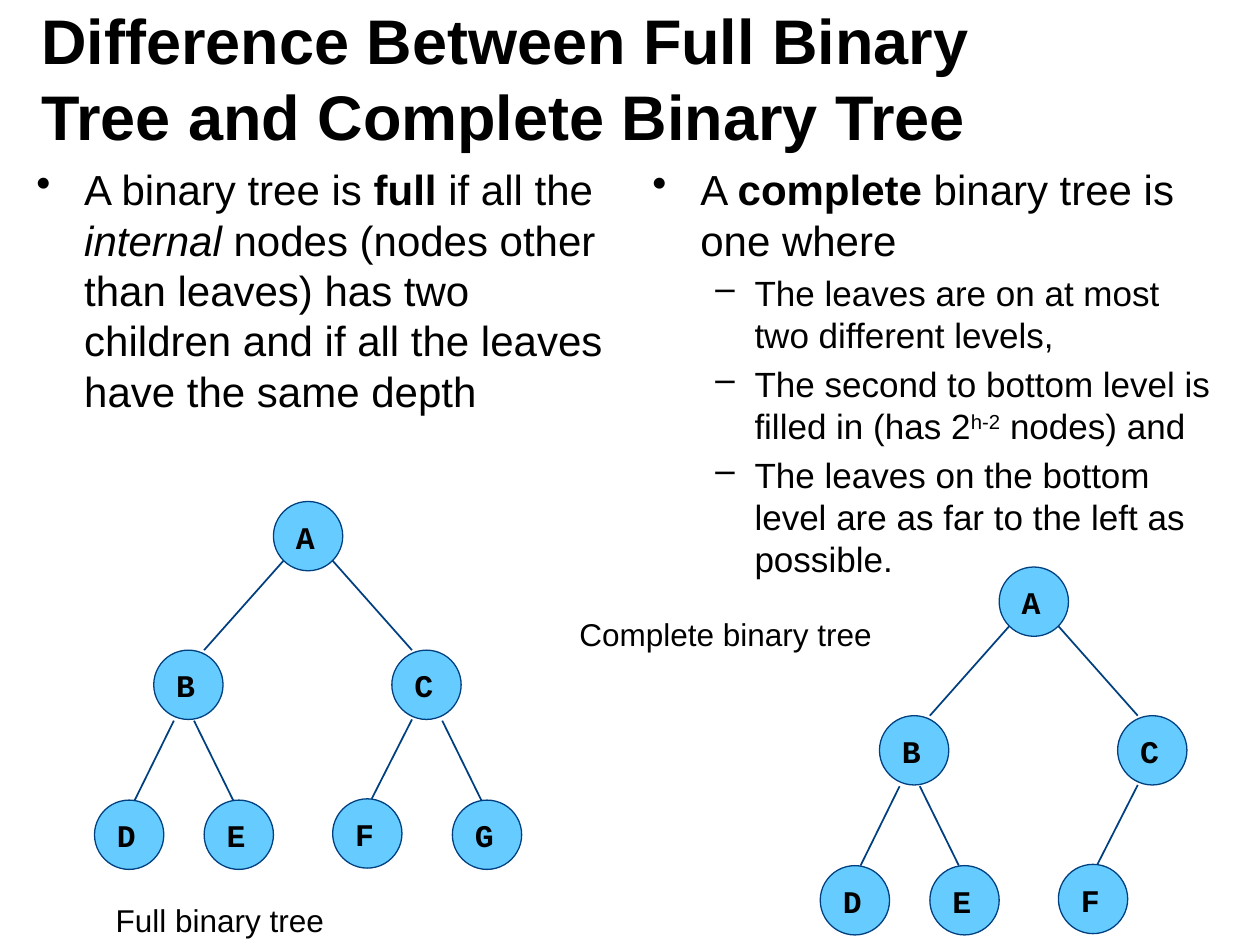
from lxml import etree
from pptx import Presentation
from pptx.dml.color import RGBColor
from pptx.enum.shapes import MSO_CONNECTOR, MSO_SHAPE
from pptx.enum.text import MSO_ANCHOR
from pptx.oxml.ns import qn
from pptx.util import Inches, Pt

OVAL = MSO_SHAPE.OVAL
STRAIGHT = MSO_CONNECTOR.STRAIGHT
TOP, MIDDLE = MSO_ANCHOR.TOP, MSO_ANCHOR.MIDDLE
BLACK = RGBColor(0x00, 0x00, 0x00)
SKY = RGBColor(0x66, 0xCC, 0xFF)
NAVY = RGBColor(0x00, 0x40, 0x80)

TITLE = "Difference Between Full Binary Tree and Complete Binary Tree"
FULL_TEXT = [
    (0, [("A binary tree is ", ""), ("full", "bold"), (" if all the ", ""),
         ("internal", "italic"),
         (" nodes (nodes other than leaves) has two children and if all "
          "the leaves have the same depth", "")]),
]
COMPLETE_TEXT = [
    (0, [("A ", ""), ("complete", "bold"), (" binary tree is one where", "")]),
    (1, [("The leaves are on at most two different levels,", "")]),
    (1, [("The second to bottom level is filled in (has 2", ""),
         ("h-2", "super"), (" nodes) and", "")]),
    (1, [("The leaves on the bottom level are as far to the left as "
          "possible.", "")]),
]
LEVELS = [
    {"bullet": "•", "size": 24, "margin": 0.38, "indent": -0.38},
    {"bullet": "–", "size": 20, "margin": 0.81, "indent": -0.31},
]

NODES = {
    "A": (0.95 + 1.22, 3.98), "B": (1.22, 5.16), "C": (3.11, 5.16),
    "D": (0.75, 6.35), "E": (1.62, 6.35), "F": (2.64, 6.34), "G": (3.59, 6.35),
}
EDGES = [
    ("A", "B", 0.08, 0.47, 0.4), ("A", "C", 0.47, 0.47, 0.16),
    ("B", "D", 0.16, 0.56, 0.32), ("B", "E", 0.32, 0.56, 0.23),
    ("C", "F", 0.16, 0.55, 0.31), ("C", "G", 0.4, 0.56, 0.23),
]
DIAMETER = 0.55
TREES = [("ABCDEFG", 0, 0), ("ABCDEF", 5.76, 0.52)]
CAPTIONS = [("Full binary tree", 0.82, 7.1), ("Complete binary tree", 4.5, 4.83)]


def add_text(s, text, box, size=18, font="Arial", bold=False, anchor=TOP):
    tf = s.shapes.add_textbox(*map(Inches, box)).text_frame
    tf.word_wrap = True
    tf.vertical_anchor = anchor
    paragraphs = [(None, [(text, "")])] if isinstance(text, str) else text
    for i, (level, runs) in enumerate(paragraphs):
        p = tf.paragraphs[0] if i == 0 else tf.add_paragraph()
        p_size = size
        if level is not None:
            style = LEVELS[level]
            p_size = style["size"]
            p.level = level
            pPr = p._p.get_or_add_pPr()
            pPr.set("marL", str(Inches(style["margin"])))
            pPr.set("indent", str(Inches(style["indent"])))
            if i:
                p.space_before = Pt(0.2 * p_size)
            etree.SubElement(pPr, qn("a:buChar")).set("char", style["bullet"])
        for words, look in runs:
            r = p.add_run()
            r.text = words
            r.font.name = font
            r.font.size = Pt(p_size)
            r.font.color.rgb = BLACK
            r.font.bold = bold or look == "bold"
            r.font.italic = look == "italic"
            if look == "super":
                r.font._element.set("baseline", "30000")


def add_node(s, label, x, y):
    sp = s.shapes.add_shape(OVAL, *map(Inches, (x, y, DIAMETER, DIAMETER)))
    sp.shadow.inherit = False
    sp.fill.solid()
    sp.fill.fore_color.rgb = SKY
    sp.line.color.rgb = NAVY
    sp.line.width = Pt(0.75)
    add_text(s, label, (x + 0.08, y + 0.08, 0.39, 0.4),
             font="Courier New", bold=True)


def add_edge(s, x1, y1, x2, y2):
    line = s.shapes.add_connector(STRAIGHT, *map(Inches, (x1, y1, x2, y2)))
    line.line.color.rgb = NAVY
    line.line.width = Pt(1)
    etree.SubElement(line._element.spPr, qn("a:effectLst"))


def add_tree(s, labels, dx, dy):
    places = {n: (NODES[n][0] + dx, NODES[n][1] + dy) for n in labels}
    for label, (x, y) in places.items():
        add_node(s, label, x, y)
    for parent, child, start_x, start_y, end_x in EDGES:
        if child in places:
            (px, py), (cx, cy) = places[parent], places[child]
            add_edge(s, px + start_x, py + start_y, cx + end_x, cy)


def main():
    prs = Presentation()
    prs.slide_width, prs.slide_height = Inches(10), Inches(7.5)
    s = prs.slides.add_slide(prs.slide_layouts[6])
    add_text(s, TITLE, (0.23, 0.15, 8.03, 0.93), size=36, bold=True,
             anchor=MIDDLE)
    for x, text in ((0.19, FULL_TEXT), (5.08, COMPLETE_TEXT)):
        add_text(s, text, (x, 1.25, 4.72, 5.38))
    for tree in TREES:
        add_tree(s, *tree)
    for caption, x, y in CAPTIONS:
        add_text(s, caption, (x, y, 3.23, 0.4))
    prs.save("out.pptx")


if __name__ == "__main__":
    main()
